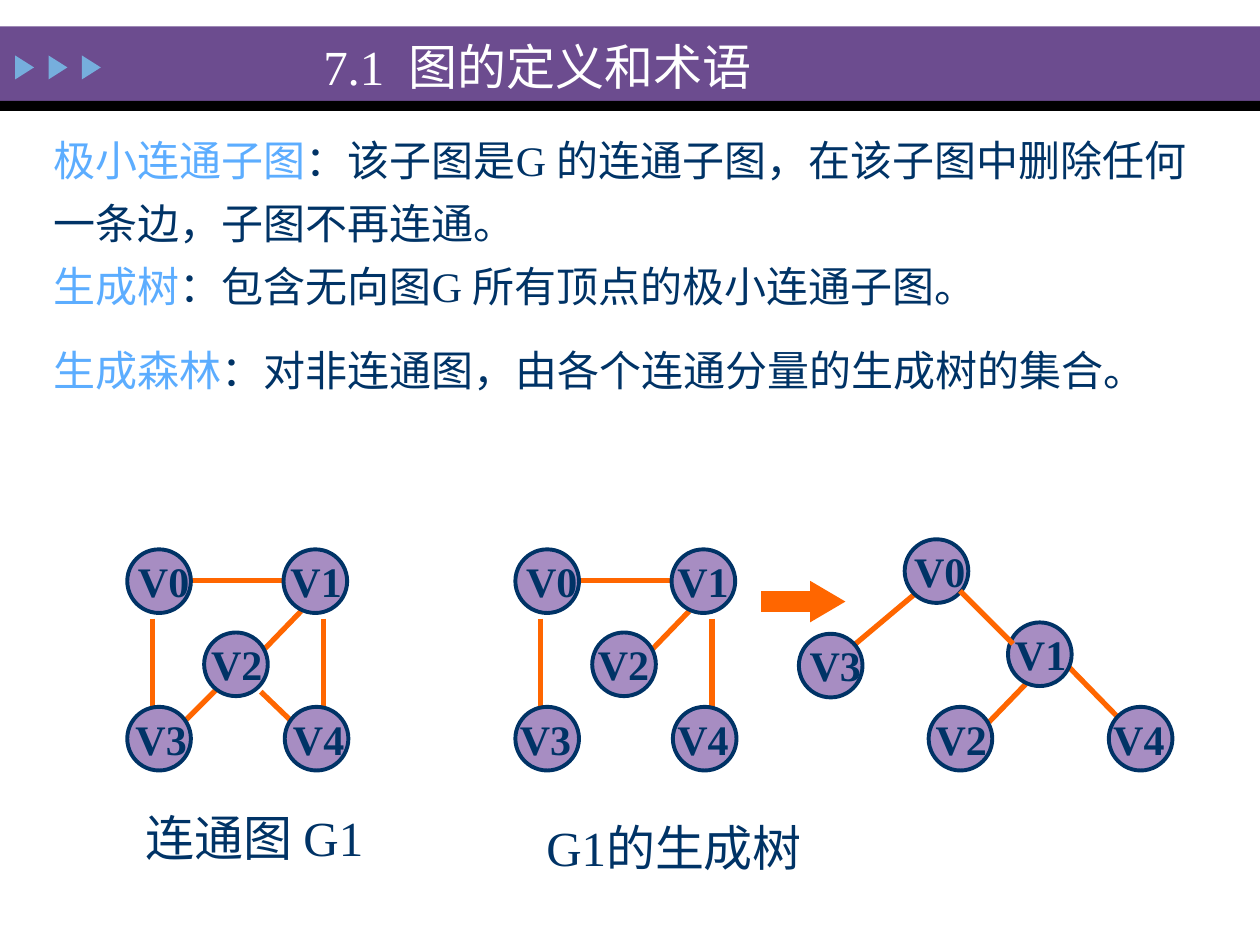
import pptx
import pptx.dml.color
import pptx.enum.shapes
import pptx.enum.text
import pptx.oxml
import pptx.util

RGBColor = pptx.dml.color.RGBColor
SHAPES = pptx.enum.shapes.MSO_SHAPE
ALIGN = pptx.enum.text.PP_ALIGN

PURPLE = RGBColor(0x6C, 0x4C, 0x8F)
LILAC = RGBColor(0xA7, 0x8D, 0xC2)
NAVY = RGBColor(0x00, 0x33, 0x66)
SKY = RGBColor(0x5C, 0xAD, 0xFF)
STEEL = RGBColor(0x76, 0xAE, 0xDD)
ORANGE = RGBColor(0xFF, 0x66, 0x00)
BLACK = RGBColor(0x00, 0x00, 0x00)
WHITE = RGBColor(0xFF, 0xFF, 0xFF)

COLUMNS, ROWS = 100, 75
NODE_SIZE = 5.05
EFFECTS = '<a:effectLst xmlns:a="http://schemas.openxmlformats.org/drawingml/2006/main"/>'


class Painter:
    """Draws styled elements on the current page, placed by grid columns and rows."""

    font = "Times New Roman"

    def __init__(self, deck):
        self.page = deck.slides.add_slide(deck.slide_layouts[6])
        self.column = deck.slide_width / COLUMNS
        self.row = deck.slide_height / ROWS

    def grid(self, *lengths):
        units = (self.column, self.row) * 2
        return [round(length * unit) for length, unit in zip(lengths, units)]

    def shape(self, kind, place, fill, outline=None, target=None):
        shape = (target or self.page).shapes.add_shape(kind, *self.grid(*place))
        shape.shadow.inherit = False
        shape.fill.solid()
        shape.fill.fore_color.rgb = fill
        if outline is None:
            shape.line.fill.background()
        else:
            shape.line.color.rgb = outline
            shape.line.width = pptx.util.Pt(2.25)
        return shape

    def edge(self, ends, target):
        line = target.shapes.add_connector(
            pptx.enum.shapes.MSO_CONNECTOR.STRAIGHT, *self.grid(*ends))
        line.line.color.rgb = ORANGE
        line.line.width = pptx.util.Pt(3)
        line._element.spPr.append(pptx.oxml.parse_xml(EFFECTS))

    def style(self, span, size, color, bold=False):
        span.font.name = self.font
        span.font.size = pptx.util.Pt(size)
        span.font.color.rgb = color
        span.font.bold = bold

    def frame(self, place, target=None):
        box = (target or self.page).shapes.add_textbox(*self.grid(*place))
        box.text_frame.word_wrap = True
        box.text_frame.auto_size = pptx.enum.text.MSO_AUTO_SIZE.SHAPE_TO_FIT_TEXT
        return box.text_frame

    def text(self, place, words, size, color, align=ALIGN.CENTER, bold=False, target=None):
        frame = self.frame(place, target)
        frame.text = words
        para = frame.paragraphs[0]
        para.alignment = align
        self.style(para.runs[0], size, color, bold)
        return frame

    def definitions(self, place, groups):
        frame = self.frame(place)
        for index, group in enumerate(groups):
            para = frame.add_paragraph() if index else frame.paragraphs[0]
            para.line_spacing = 1.25
            para.space_before = pptx.util.Pt(12 if index else 0)
            for position, (term, meaning) in enumerate(group):
                if position:
                    para.add_line_break()
                for words, color in ((term, SKY), (meaning, NAVY)):
                    span = para.add_run()
                    span.text = words
                    self.style(span, 24, color)

    def node(self, name, left, top, shift, target):
        self.shape(SHAPES.OVAL, (left, top, NODE_SIZE, NODE_SIZE), LILAC, NAVY, target)
        frame = self.text((left + shift, top, 7.1, 5), name, 24, NAVY,
                          ALIGN.LEFT, True, target)
        frame.margin_left = self.grid(1.35)[0]

    def graph(self, nodes, shifts, edges, offset=0, front_edges=()):
        group = self.page.shapes.add_group_shape()
        for x1, y1, x2, y2 in edges:
            self.edge((x1 + offset, y1, x2 + offset, y2), group)
        for (name, (left, top)), shift in zip(nodes.items(), shifts):
            self.node(name, left + offset, top, shift, group)
        for ends in front_edges:
            self.edge(ends, group)


def main():
    deck = pptx.Presentation()
    deck.slide_width = pptx.util.Inches(10)
    deck.slide_height = pptx.util.Inches(7.5)
    painter = Painter(deck)

    painter.shape(SHAPES.RECTANGLE, (0, 2.1, COLUMNS, 5.9), PURPLE)
    painter.shape(SHAPES.RECTANGLE, (0, 8, COLUMNS, 0.8), BLACK)
    for index in range(3):
        marker = painter.shape(SHAPES.ISOSCELES_TRIANGLE,
                               (1 + 2.65 * index, 4.6, 1.9, 1.5), STEEL)
        marker.rotation = 90

    painter.definitions((3.3, 9.2, 93.4, 23.2), [
        [("极小连通子图", "：该子图是G 的连通子图，在该子图中删除任何一条边，子图不再连通。"),
         ("生成树", "：包含无向图G 所有顶点的极小连通子图。")],
        [("生成森林", "：对非连通图，由各个连通分量的生成树的集合。")],
    ])
    painter.text((7.9, 63.6, 24.6, 5.7), "连通图 G1", 28, NAVY)
    painter.text((41.2, 64.4, 24.6, 5.7), "G1的生成树", 28, NAVY)

    nodes = {"V0": (10.1, 43.6), "V4": (22.6, 56.1), "V3": (10.1, 56.1),
             "V1": (22.5, 43.6), "V2": (16.2, 50.2)}
    tree_edges = [(12.1, 49.1, 12.1, 56.3), (15.1, 46.1, 23.3, 46.1),
                  (25.7, 49.1, 25.7, 56.3), (23.9, 48.5, 21, 51.5)]
    cycle_edges = [(17.4, 54.5, 14.4, 57.5), (20.7, 54.9, 23.3, 57.4)]
    painter.graph(nodes, (-0.5, -1, -1, -0.9, -0.9), tree_edges, offset=30.8)
    painter.graph(nodes, (-0.5, -0.7, -0.7, -0.8, -0.8), tree_edges + cycle_edges)

    rooted = {"V0": (71.8, 42.8), "V4": (88, 56.1), "V3": (63.4, 50.3),
              "V1": (80, 49.4), "V2": (73.7, 56.1)}
    painter.graph(rooted, (-0.6, -1, -0.5, -0.8, -0.8),
                  [(72.9, 46.9, 67.9, 51.1), (84.6, 52.7, 88.7, 56.9),
                   (81.4, 54.3, 78.5, 57.3)],
                  front_edges=[(76.2, 46.9, 80.4, 51.1)])

    arrow = painter.shape(SHAPES.RIGHT_ARROW, (60.4, 46.1, 6.7, 3.3), ORANGE)
    arrow.adjustments[1] = 0.85

    title = painter.text((9, 1.5, 67.3, 7.5), "7.1  图的定义和术语", 28, WHITE)
    title.auto_size = pptx.enum.text.MSO_AUTO_SIZE.NONE
    title.vertical_anchor = pptx.enum.text.MSO_ANCHOR.MIDDLE

    deck.save("out.pptx")


if __name__ == "__main__":
    main()
